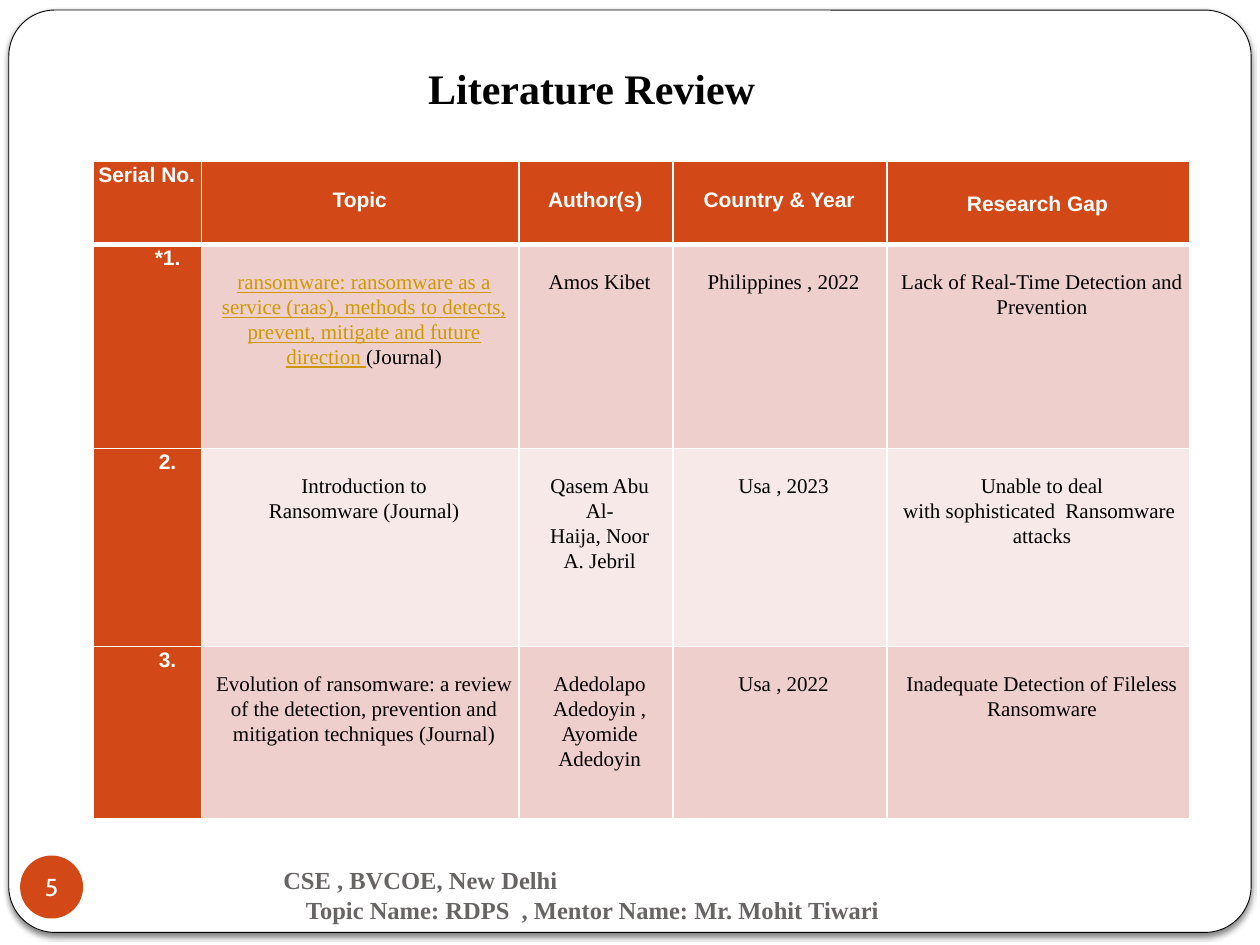
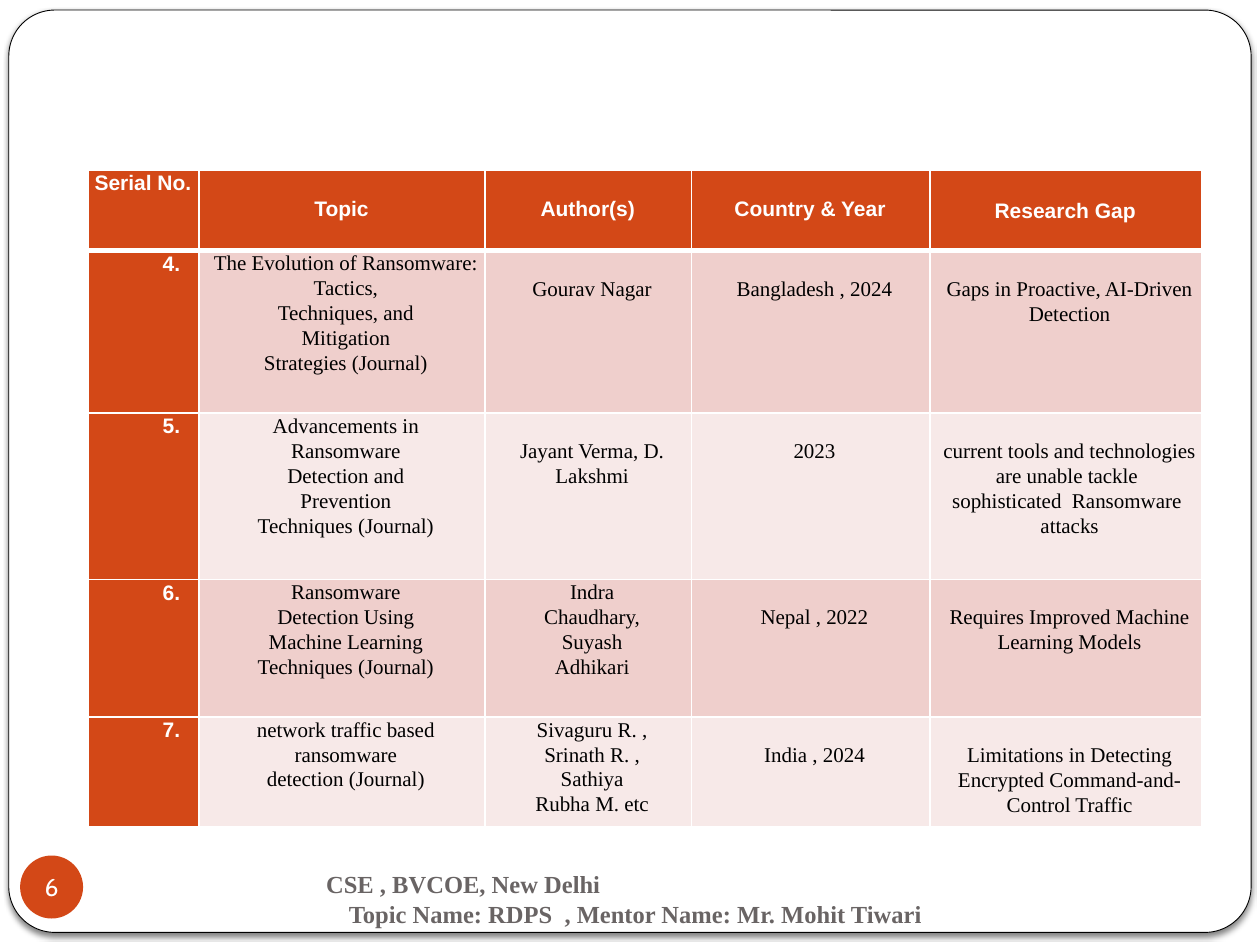
from lxml import etree
from pptx import Presentation
from pptx import util as u
from pptx.dml.color import RGBColor
from pptx.enum import shapes, text
from pptx.oxml import parse_xml
from pptx.oxml.ns import nsdecls, qn

Inches, Pt = u.Inches, u.Pt
SERIF, SANS, NUMBER_FONT = "Times New Roman", "Arial", "Cabin"
WHITE, BLACK, ORANGE, GREY, GOLD = "FFFFFF", "000000", "D34817", "696464", "CC9900"
BANDS = ["EFCFCC", "F7E9E8"]
LINE_DROP = 0.2

HEADERS = ["Serial No.", "Topic", "Author(s)", "Country & Year", "Research Gap"]
FOOTER = ["CSE , BVCOE, New Delhi", "Topic Name: RDPS  , Mentor Name: Mr. Mohit Tiwari"]
LINKED = ("ransomware: ransomware as a service (raas), methods to detects, "
          "prevent, mitigate and future direction ")

SLIDES = [
    dict(
        title="Literature Review", number="5", footer_at=(2.15, 6.82),
        table_at=(0.74, 1.28), cols=[0.86, 2.52, 1.22, 1.7, 2.4],
        heights=[0.66, 1.62, 1.57, 1.37], serial_indent=0.33, undropped=set(),
        rows=[
            ["*1.", LINKED + "(Journal)", "Amos Kibet", "Philippines , 2022",
             "Lack of Real-Time Detection and Prevention"],
            ["2.", "Introduction to\nRansomware (Journal)",
             "Qasem Abu\nAl-\nHaija, Noor\nA. Jebril", "Usa , 2023",
             "Unable to deal\nwith sophisticated  Ransomware  attacks"],
            ["3.", "Evolution of ransomware: a review of the detection, "
             "prevention and mitigation techniques (Journal)",
             "Adedolapo\nAdedoyin ,\nAyomide\nAdedoyin", "Usa , 2022",
             "Inadequate Detection of Fileless Ransomware"],
        ]),
    dict(
        title=None, number="6", footer_at=(2.49, 6.85),
        table_at=(0.7, 1.35), cols=[0.88, 2.27, 1.64, 1.89, 2.16],
        heights=[0.64, 1.29, 1.32, 1.09, 0.87], serial_indent=0.45,
        undropped={(1, 1), (2, 1), (3, 1), (4, 1), (3, 2), (4, 2)},
        rows=[
            ["4.", "The Evolution of Ransomware:\nTactics,\nTechniques, and\n"
             "Mitigation\nStrategies (Journal)", "Gourav Nagar",
             "Bangladesh , 2024", "Gaps in Proactive, AI-Driven Detection"],
            ["5.", "Advancements in\nRansomware\nDetection and\nPrevention\n"
             "Techniques (Journal)", "Jayant Verma, D.\nLakshmi", "2023",
             "current tools and technologies are unable tackle  "
             "sophisticated  Ransomware  attacks"],
            ["6.", "Ransomware\nDetection Using\nMachine Learning\n"
             "Techniques (Journal)", "Indra\nChaudhary,\nSuyash\nAdhikari",
             "Nepal , 2022", "Requires Improved Machine Learning Models"],
            ["7.", "network traffic based ransomware\ndetection (Journal)",
             "Sivaguru R. ,\nSrinath R. ,\nSathiya\nRubha M. etc",
             "India , 2024",
             "Limitations in Detecting Encrypted Command-and-Control Traffic"],
        ]),
]


def rgb(color):
    return RGBColor.from_string(color)


def add_run(p, words, size, font, color, bold=False, underline=False):
    r = p.add_run()
    r.text = words
    r.font.size, r.font.name, r.font.bold = Pt(size), font, bold
    r.font.underline = underline
    r.font.color.rgb = rgb(color)


def write(tf, words, align="LEFT", indents=(0,), spacing=None, **font):
    tf.word_wrap = True
    for i, line in enumerate(words.split("\n")):
        p = tf.paragraphs[0] if i == 0 else tf.add_paragraph()
        p.alignment = getattr(text.PP_ALIGN, align)
        indent = indents[min(i, len(indents) - 1)]
        if indent:
            p._p.get_or_add_pPr().set("marL", str(Inches(indent)))
        if spacing:
            p.line_spacing = spacing
        if line.startswith(LINKED):
            add_run(p, LINKED, **{**font, "color": GOLD, "underline": True})
            line = line[len(LINKED):]
        add_run(p, line, **font)


def add_text(s, at, words, **form):
    tf = s.shapes.add_textbox(*map(Inches, at)).text_frame
    write(tf, words, **form)


def add_preset(s, kind, at, fill):
    sp = s.shapes.add_shape(kind, *map(Inches, at))
    sp.shadow.inherit = False
    sp.fill.solid()
    sp.fill.fore_color.rgb = rgb(fill)
    return sp


def add_frame(s):
    sp = add_preset(s, shapes.MSO_SHAPE.ROUNDED_RECTANGLE, (0.07, 0.08, 9.86, 7.32), WHITE)
    sp.adjustments[0] = 0.05
    sp.line.color.rgb = rgb(BLACK)
    sp.line.width = Pt(0.5)
    sp._element.spPr.find(qn("a:effectLst")).append(parse_xml(
        f'<a:outerShdw {nsdecls("a")} blurRad="{Pt(3)}" dist="{Pt(2)}" dir="5400000">'
        f'<a:srgbClr val="{BLACK}"><a:alpha val="50000"/></a:srgbClr></a:outerShdw>'))


def add_number(s, number):
    sp = add_preset(s, shapes.MSO_SHAPE.OVAL, (0.16, 6.79, 0.5, 0.5), ORANGE)
    sp.line.fill.background()
    tf = sp.text_frame
    tf.margin_left = tf.margin_right = tf.margin_top = tf.margin_bottom = 0
    tf.vertical_anchor = text.MSO_ANCHOR.MIDDLE
    write(tf, number, align="CENTER", size=14, font=NUMBER_FONT, color=WHITE)


def set_borders(cell, row):
    tc_pr = cell._tc.get_or_add_tcPr()
    for side in "LRTB":
        thick = (row, side) in {(0, "B"), (1, "T")}
        ln = etree.SubElement(tc_pr, qn(f"a:ln{side}"), w=str(Pt(3 if thick else 1)))
        fill = etree.SubElement(ln, qn("a:solidFill"))
        etree.SubElement(fill, qn("a:srgbClr"), val=WHITE)


def add_review_table(s, spec):
    rows, cols, heights = [HEADERS] + spec["rows"], spec["cols"], spec["heights"]
    at = (*spec["table_at"], sum(cols), sum(heights))
    table = s.shapes.add_table(len(rows), len(cols), *map(Inches, at)).table
    for column, width in zip(table.columns, cols):
        column.width = Inches(width)
    for i, (row, height) in enumerate(zip(rows, heights)):
        table.rows[i].height = Inches(height)
        for j, words in enumerate(row):
            cell = table.cell(i, j)
            strong = i == 0 or j == 0
            centred = i == 0 and j == len(cols) - 1
            dropped = j > 0 and not centred and (i, j) not in spec["undropped"]
            cell.margin_left = cell.margin_bottom = 0
            cell.margin_right = Inches(0.01)
            cell.margin_top = Inches(LINE_DROP if dropped else 0)
            if centred:
                cell.vertical_anchor = text.MSO_ANCHOR.MIDDLE
            set_borders(cell, i)
            cell.fill.solid()
            cell.fill.fore_color.rgb = rgb(ORANGE if strong else BANDS[(i - 1) % 2])
            indent = 0 if i == 0 else spec["serial_indent"] if j == 0 else 0.07
            write(cell.text_frame, words, align="CENTER", indents=(indent,),
                  spacing=1.07, size=12, font=SANS if strong else SERIF,
                  color=WHITE if strong else BLACK, bold=strong)


def main():
    prs = Presentation()
    prs.slide_width, prs.slide_height = Inches(10), Inches(7.5)
    for spec in SLIDES:
        s = prs.slides.add_slide(prs.slide_layouts[6])
        add_frame(s)
        add_review_table(s, spec)
        add_text(s, (*spec["footer_at"], 5.4, 0.57), "\n".join(FOOTER),
                 indents=(0, 0.18), size=14, font=SERIF, color=GREY, bold=True)
        if spec["title"]:
            add_text(s, (3.3, 0.45, 4.62, 0.5), spec["title"],
                     size=24, font=SERIF, color=BLACK, bold=True)
        add_number(s, spec["number"])
    prs.save("out.pptx")


if __name__ == "__main__":
    main()
